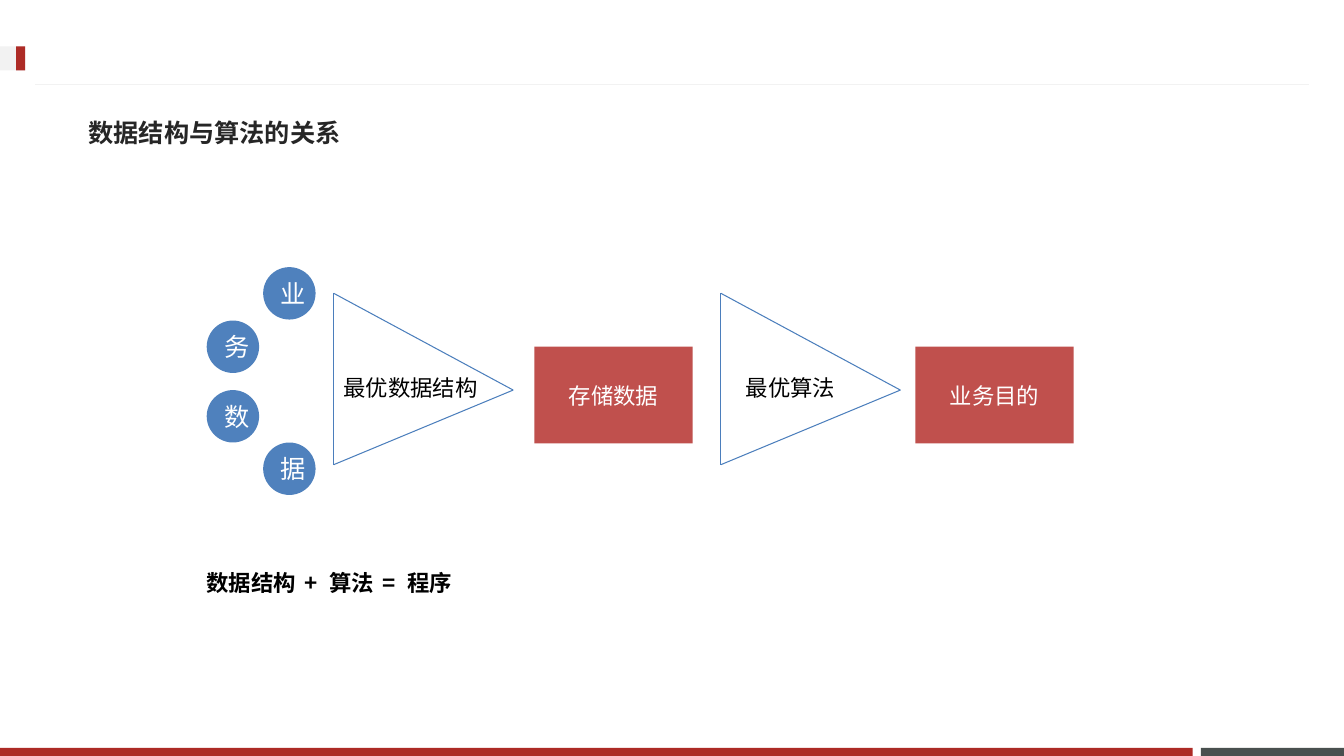
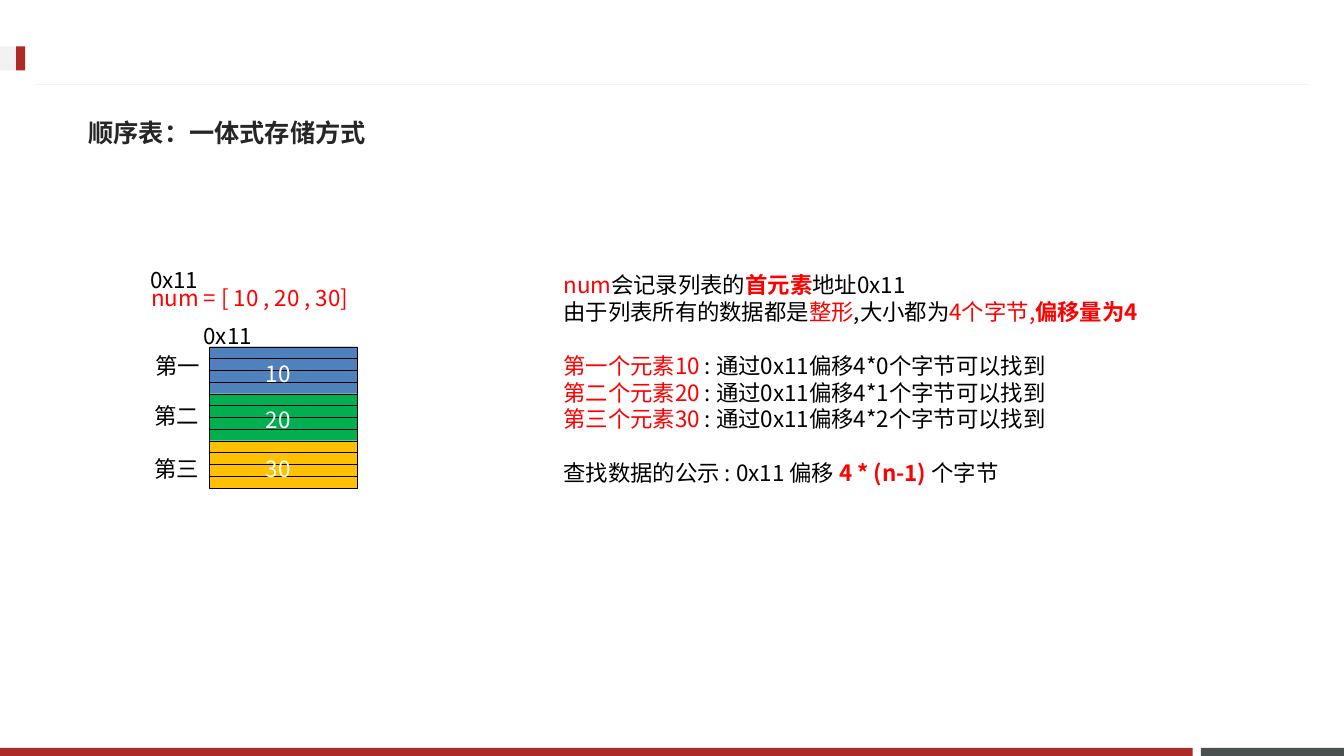
from dataclasses import dataclass

from lxml import etree
from pptx import Presentation
from pptx.dml.color import RGBColor
from pptx.enum.shapes import MSO_CONNECTOR, MSO_SHAPE
from pptx.enum.text import MSO_ANCHOR, MSO_AUTO_SIZE, PP_ALIGN
from pptx.oxml.ns import qn
from pptx.util import Inches, Pt


@dataclass(frozen=True)
class Theme:
    brand: str = "AD2B26"
    slate: str = "49504F"
    pale: str = "F2F2F2"
    title_ink: str = "262626"
    black: str = "000000"
    white: str = "FFFFFF"
    red: str = "FF0000"
    blue: str = "4F81BD"
    edge_blue: str = "4B7EBC"
    brick: str = "C0504D"
    green: str = "00B050"
    amber: str = "FFC000"
    shape_font: str = "Calibri"
    body_font: str = "Noto Sans CJK SC"
    title_font: str = "Noto Sans CJK JP"
    title_size: float = 18
    body_size: float = 16
    body_leading: float = 19.2
    operator_spacing: float = 2.4
    line_width: float = 0.75
    cell_line: float = 0.25


THEME = Theme()


def rgb(value):
    return RGBColor.from_string(value)


def add_run(paragraph, text, color, font=THEME.body_font,
            size=THEME.body_size, bold=False, spacing=0):
    """Append a run; spacing is extra space after each letter, in points."""
    run = paragraph.add_run()
    run.text = text
    run.font.name = font
    run.font.size = Pt(size)
    run.font.bold = bold
    run.font.color.rgb = rgb(color)
    properties = run.font._element
    if spacing:
        properties.set("spc", str(round(spacing * 100)))
    east_asian = etree.Element(qn("a:ea"))
    east_asian.set("typeface", THEME.title_font if font == THEME.title_font
                   else THEME.body_font)
    properties.find(qn("a:latin")).addnext(east_asian)


def add_block(slide, kind, box, fill, text="", size=THEME.body_size,
              outline=None):
    block = slide.shapes.add_shape(kind, *map(Inches, box))
    block.shadow.inherit = False
    block.fill.solid()
    block.fill.fore_color.rgb = rgb(fill)
    if outline:
        block.line.color.rgb = rgb(outline)
        block.line.width = Pt(THEME.cell_line)
    else:
        block.line.fill.background()
    if text:
        block.text_frame.vertical_anchor = MSO_ANCHOR.MIDDLE
        paragraph = block.text_frame.paragraphs[0]
        paragraph.alignment = PP_ALIGN.CENTER
        add_run(paragraph, text, THEME.white, THEME.shape_font, size)


def add_edge(slide, start, end, color):
    edge = slide.shapes.add_connector(
        MSO_CONNECTOR.STRAIGHT, *map(Inches, (*start, *end)))
    edge.line.color.rgb = rgb(color)
    edge.line.width = Pt(THEME.line_width)
    etree.SubElement(edge._element.spPr, qn("a:effectLst"))


def add_text(slide, box, paragraphs, wrap=False):
    """Add body text; each paragraph is (runs, gap before in points),
    and each run is (text, colour, bold, letter spacing)."""
    frame = slide.shapes.add_textbox(*map(Inches, box)).text_frame
    frame.word_wrap = wrap
    frame.auto_size = MSO_AUTO_SIZE.SHAPE_TO_FIT_TEXT
    frame.margin_top = Inches(0.07)
    for index, (runs, gap) in enumerate(paragraphs):
        paragraph = frame.paragraphs[0] if index == 0 else frame.add_paragraph()
        paragraph.line_spacing = Pt(THEME.body_leading)
        if gap:
            paragraph.space_before = Pt(gap)
        for text, color, bold, spacing in runs:
            add_run(paragraph, text, color, bold=bold, spacing=spacing)


def plain(text, color=THEME.black):
    return text, color, False, 0


def strong(text, color=THEME.red):
    return text, color, True, 0


def add_label(slide, left, top, width, text, color=THEME.black):
    add_text(slide, (left, top, width, 0.37), [([plain(text, color)], 0)])


def add_titled_slide(deck, title):
    slide = deck.slides.add_slide(deck.slide_layouts[6])
    bands = [
        ((11.91, 7.42, 1.42, 0.08), THEME.slate),
        ((0, 7.42, 11.83, 0.08), THEME.brand),
        ((0, 0.46, 0.25, 0.24), THEME.pale),
        ((0.16, 0.46, 0.09, 0.24), THEME.brand),
    ]
    for box, fill in bands:
        add_block(slide, MSO_SHAPE.RECTANGLE, box, fill)
    add_edge(slide, (12.98, 0.84), (0.35, 0.84), THEME.pale)
    frame = slide.shapes.add_textbox(
        *map(Inches, (0.78, 1.03, 11.7, 0.57))).text_frame
    frame.word_wrap = True
    frame.vertical_anchor = MSO_ANCHOR.MIDDLE
    add_run(frame.paragraphs[0], title, THEME.title_ink,
            THEME.title_font, THEME.title_size, True)
    return slide


def add_funnel(slide, left, label_left, label_width, label):
    """Draw an open triangle that points right, with its label."""
    top, bottom, tip = (left, 2.91), (left, 4.61), (left + 1.78, 3.87)
    for start, end in ((top, tip), (bottom, tip), (top, bottom)):
        add_edge(slide, start, end, THEME.edge_blue)
    add_label(slide, label_left, 3.64, label_width, label)


def build_relation_slide(deck):
    slide = add_titled_slide(deck, "数据结构与算法的关系")
    data_dots = [("业", 2.61, 2.65), ("务", 2.05, 3.18),
                 ("数", 2.05, 3.87), ("据", 2.61, 4.39)]
    for letter, left, top in data_dots:
        add_block(slide, MSO_SHAPE.OVAL, (left, top, 0.52, 0.52),
                  THEME.blue, letter, THEME.title_size)
    add_funnel(slide, 3.31, 3.31, 1.55, "最优数据结构")
    add_funnel(slide, 7.15, 7.3, 1.1, "最优算法")
    for left, stage in ((5.3, "存储数据"), (9.08, "业务目的")):
        add_block(slide, MSO_SHAPE.RECTANGLE, (left, 3.44, 1.57, 0.96),
                  THEME.brick, stage)
    formula = []
    for part in ("数据结构", " + ", "算法", " = ", "程序"):
        spacing = THEME.operator_spacing if part.startswith(" ") else 0
        formula.append((part, THEME.black, True, spacing))
    add_text(slide, (1.95, 5.58, 2.87, 0.37), [(formula, 0)])


def add_memory(slide):
    """Draw three four-byte integers as a stack of byte cells."""
    left, top, width, height = 2.08, 3.44, 1.46, 1.4
    bytes_each = 4
    integers = [("10", THEME.blue, 3.5), ("20", THEME.green, 3.96),
                ("30", THEME.amber, 4.45)]
    cell = height / (bytes_each * len(integers))
    for index in range(bytes_each * len(integers)):
        fill = integers[index // bytes_each][1]
        add_block(slide, MSO_SHAPE.RECTANGLE,
                  (left, top + index * cell, width, cell),
                  fill, outline=THEME.black)
    for value, _, value_top in integers:
        add_label(slide, 2.54, value_top, 0.46, value, THEME.white)


def build_storage_slide(deck):
    slide = add_titled_slide(deck, "顺序表：一体式存储方式")
    add_label(slide, 1.4, 2.75, 2.37, "num = [ 10 , 20 , 30]", THEME.red)
    add_memory(slide)
    labels = [(1.92, 3.13, 0.71, "0x11"), (1.39, 2.57, 0.71, "0x11"),
              (1.44, 3.42, 0.65, "第一"), (1.43, 3.92, 0.65, "第二"),
              (1.43, 4.45, 0.65, "第三")]
    for label in labels:
        add_label(slide, *label)

    section_gap = THEME.body_leading
    explanation = [
        ([plain("num", THEME.red), plain("会记录列表的"),
          strong("首元素"), plain("地址0x11")], 0),
        ([plain("由于列表所有的数据都是"), plain("整形", THEME.red),
          plain(",大小都为"), plain("4个字节,", THEME.red),
          strong("偏移量为4")], 0),
    ]
    for index, ordinal in enumerate("一二三"):
        explanation.append((
            [plain(f"第{ordinal}个元素{10 * (index + 1)} ", THEME.red),
             plain(f": 通过0x11偏移4*{index}个字节可以找到")],
            0 if index else section_gap))
    explanation.append((
        [plain("查找数据的公示 : 0x11 偏移 "), strong("4 * (n-1) "),
         plain("个字节")], section_gap))
    add_text(slide, (5.49, 2.62, 5.97, 2.52), explanation, wrap=True)


def main():
    deck = Presentation()
    deck.slide_width = Inches(13.33)
    deck.slide_height = Inches(7.5)
    build_relation_slide(deck)
    build_storage_slide(deck)
    deck.save("out.pptx")


if __name__ == "__main__":
    main()
